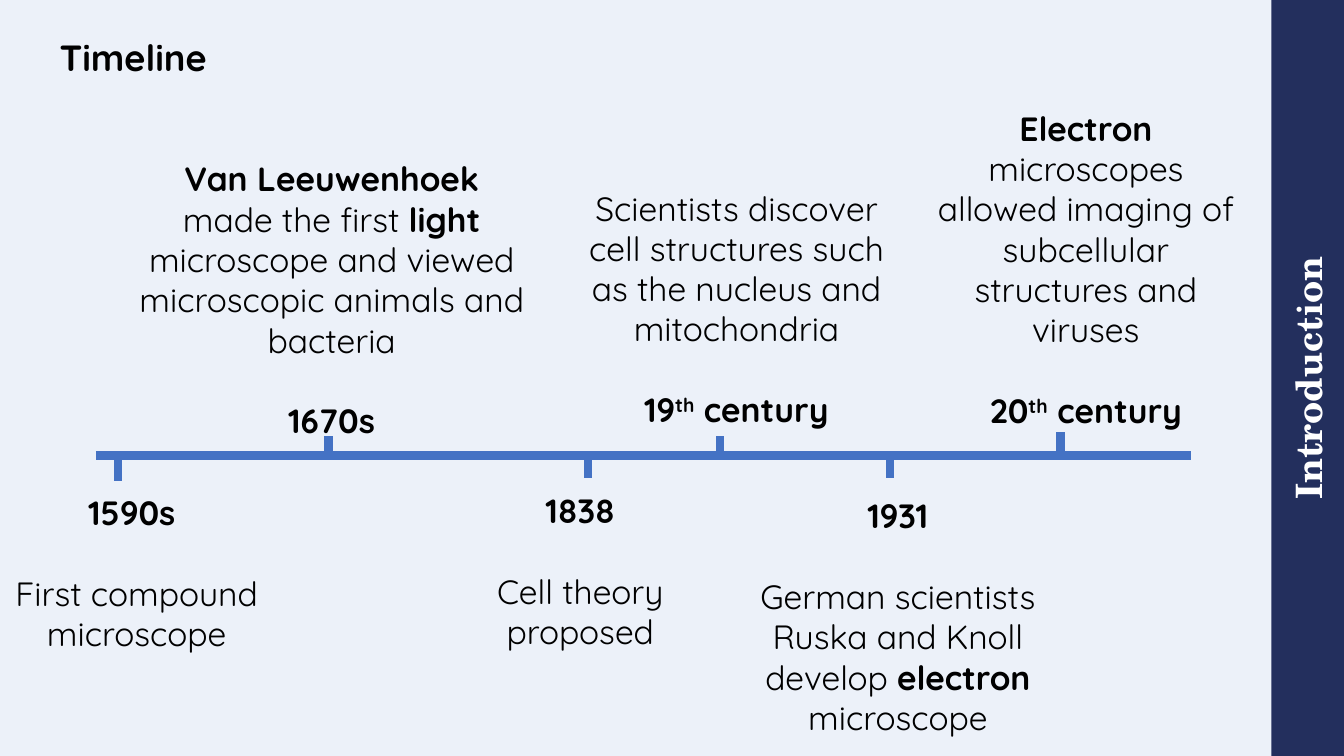
from dataclasses import dataclass

from lxml import etree
from pptx import Presentation
from pptx.dml.color import RGBColor
from pptx.enum.shapes import MSO_CONNECTOR, MSO_SHAPE
from pptx.enum.text import MSO_ANCHOR, MSO_AUTO_SIZE, PP_ALIGN
from pptx.oxml.ns import qn
from pptx.slide import Slide
from pptx.text.text import TextFrame, _Paragraph
from pptx.util import Inches, Pt

LINE = MSO_CONNECTOR.STRAIGHT
RECT = MSO_SHAPE.RECTANGLE
MIDDLE, BOTTOM = MSO_ANCHOR.MIDDLE, MSO_ANCHOR.BOTTOM
GROW = MSO_AUTO_SIZE.SHAPE_TO_FIT_TEXT
LEFT, CENTER = PP_ALIGN.LEFT, PP_ALIGN.CENTER


@dataclass(frozen=True)
class Theme:
    back: RGBColor = RGBColor(0xEC, 0xF1, 0xF9)
    navy: RGBColor = RGBColor(0x23, 0x2F, 0x5D)
    blue: RGBColor = RGBColor(0x44, 0x72, 0xC4)
    black: RGBColor = RGBColor(0, 0, 0)
    white: RGBColor = RGBColor(255, 255, 255)
    sans: str = "Quicksand"
    serif: str = "TeX Gyre Schola"
    head: int = 26
    body: int = 24
    gap: int = 29  # one body line
    stroke: int = 6


@dataclass(frozen=True)
class Bit:
    text: str
    bold: bool = False
    raised: bool = False


@dataclass(frozen=True)
class Event:
    box: tuple[float, float, float, float]
    tick: tuple[float, float]  # x, top
    date: list[Bit]
    story: list[Bit]
    above: bool = False


THEME = Theme()
AXIS = 4.52
TICK = 0.22


def century(number: str) -> list[Bit]:
    return [Bit(number, True), Bit("th", True, True), Bit(" century", True)]


EVENTS = [
    Event((0, 4.83, 2.71, 1.72), (1.17, 4.55), [Bit("1590s ", True)],
          [Bit("First compound microscope")]),
    Event((1.24, 1.52, 4.1, 2.93), (3.26, 4.33), [Bit("1670s", True)],
          [Bit("Van Leeuwenhoek ", True), Bit("made the first "),
           Bit("light", True),
           Bit(" microscope and viewed microscopic animals and bacteria")],
          above=True),
    Event((4.4, 4.81, 2.71, 1.72), (5.83, 4.52), [Bit("1838", True)],
          [Bit("Cell theory proposed")]),
    Event((5.64, 1.81, 3.33, 2.52), (7.14, 4.33), century("19"),
          [Bit("Scientists discover cell structures such as the nucleus "
               "and mitochondria")],
          above=True),
    Event((7.19, 4.86, 3.43, 2.52), (8.83, 4.52), [Bit("1931", True)],
          [Bit("German scientists Ruska and Knoll develop "),
           Bit("electron", True), Bit(" microscope")]),
    Event((9.07, 1.02, 3.4, 3.33), (10.52, 4.29), century("20"),
          [Bit("Electron", True),
           Bit(" microscopes allowed imaging of subcellular structures "
               "and viruses")],
          above=True),
]


def write(para: _Paragraph, bits: list[Bit], size: int, face: str,
          color: RGBColor, align: PP_ALIGN = CENTER) -> None:
    para.alignment = align
    for bit in bits:
        run = para.add_run()
        run.text = bit.text
        font = run.font
        font.name, font.size, font.bold = face, Pt(size), bit.bold
        font.color.rgb = color
        if bit.raised:
            run._r.get_or_add_rPr().set("baseline", "30000")


def trim(frame: TextFrame) -> None:
    frame.margin_left = frame.margin_right = 0
    frame.margin_top = frame.margin_bottom = 0
    frame.word_wrap = True


def stroke(slide: Slide, x1: float, y1: float, x2: float, y2: float) -> None:
    line = slide.shapes.add_connector(
        LINE, Inches(x1), Inches(y1), Inches(x2), Inches(y2))
    line.line.color.rgb = THEME.blue
    line.line.width = Pt(THEME.stroke)
    etree.SubElement(line._element.spPr, qn("a:effectLst"))


def banner(slide: Slide) -> None:
    bar = slide.shapes.add_shape(
        RECT, Inches(9.22), Inches(3.39), Inches(7.5), Inches(0.72))
    bar.rotation = 270
    bar.shadow.inherit = False
    bar.fill.solid()
    bar.fill.fore_color.rgb = THEME.navy
    bar.line.fill.background()
    frame = bar.text_frame
    trim(frame)
    frame.vertical_anchor = MIDDLE
    write(frame.paragraphs[0], [Bit("Introduction", True)],
          THEME.head, THEME.serif, THEME.white)


def title(slide: Slide) -> None:
    frame = slide.shapes.add_textbox(
        Inches(0.59), 0, Inches(11.61), Inches(0.79)).text_frame
    trim(frame)
    frame.vertical_anchor = BOTTOM
    para = frame.paragraphs[0]
    para.line_spacing = 0.9
    write(para, [Bit("Timeline", True)],
          THEME.head, THEME.sans, THEME.black, LEFT)


def event(slide: Slide, item: Event) -> None:
    frame = slide.shapes.add_textbox(*map(Inches, item.box)).text_frame
    frame.word_wrap = True
    frame.auto_size = GROW
    # Above the axis the date comes last, below it first
    first, last = item.date, item.story
    if item.above:
        first, last = last, first
    write(frame.paragraphs[0], first, THEME.body, THEME.sans, THEME.black)
    para = frame.add_paragraph()
    para.space_before = Pt(THEME.gap)
    write(para, last, THEME.body, THEME.sans, THEME.black)
    x, top = item.tick
    stroke(slide, x, top, x, top + TICK)


def main() -> None:
    deck = Presentation()
    deck.slide_width, deck.slide_height = Inches(13.33), Inches(7.5)
    slide = deck.slides.add_slide(deck.slide_layouts[6])

    # Background, side banner and title
    fill = slide.background.fill
    fill.solid()
    fill.fore_color.rgb = THEME.back
    banner(slide)
    title(slide)

    # Axis and its events
    stroke(slide, 0.95, AXIS, 11.81, AXIS)
    for item in EVENTS:
        event(slide, item)

    deck.save("out.pptx")


if __name__ == "__main__":
    main()
